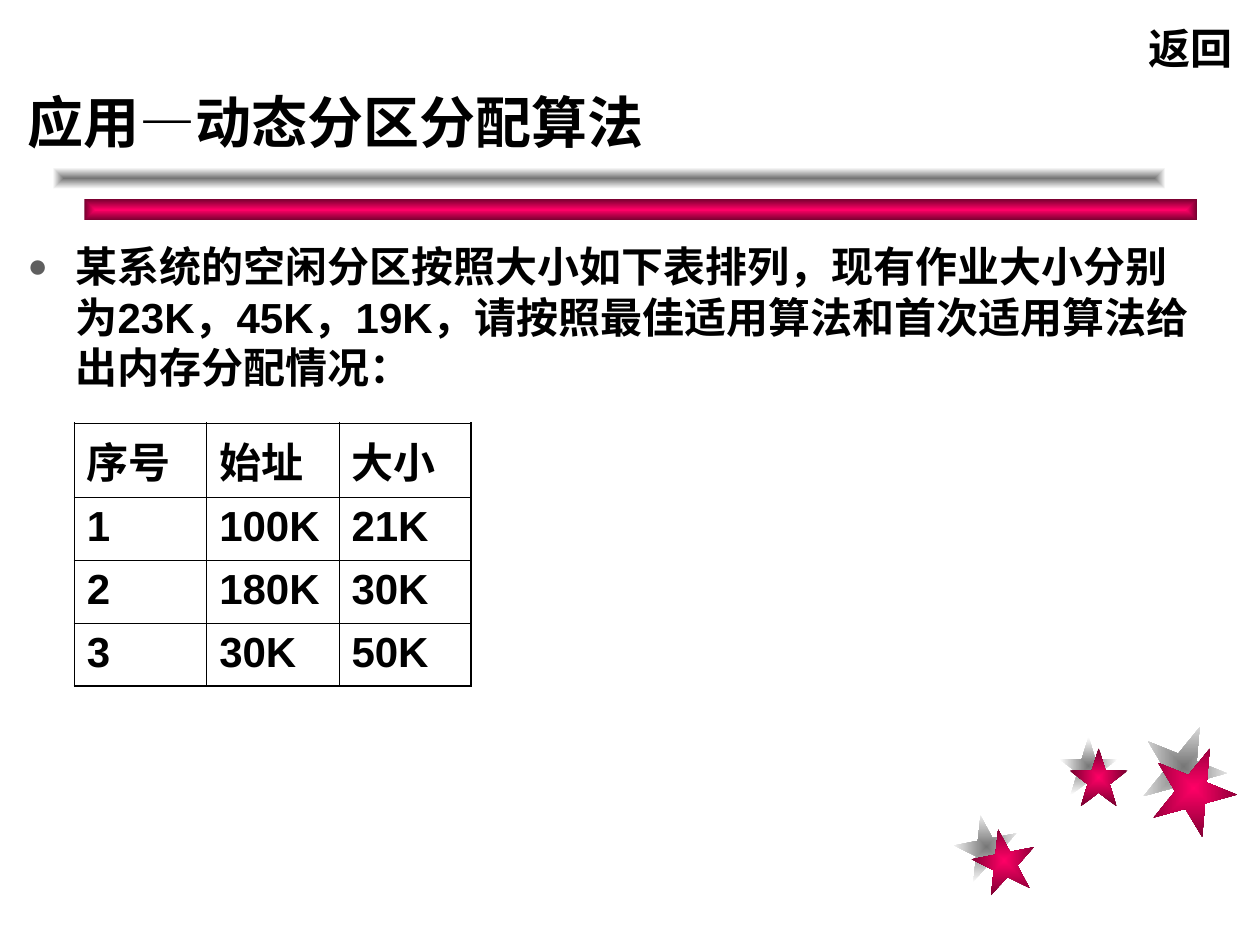
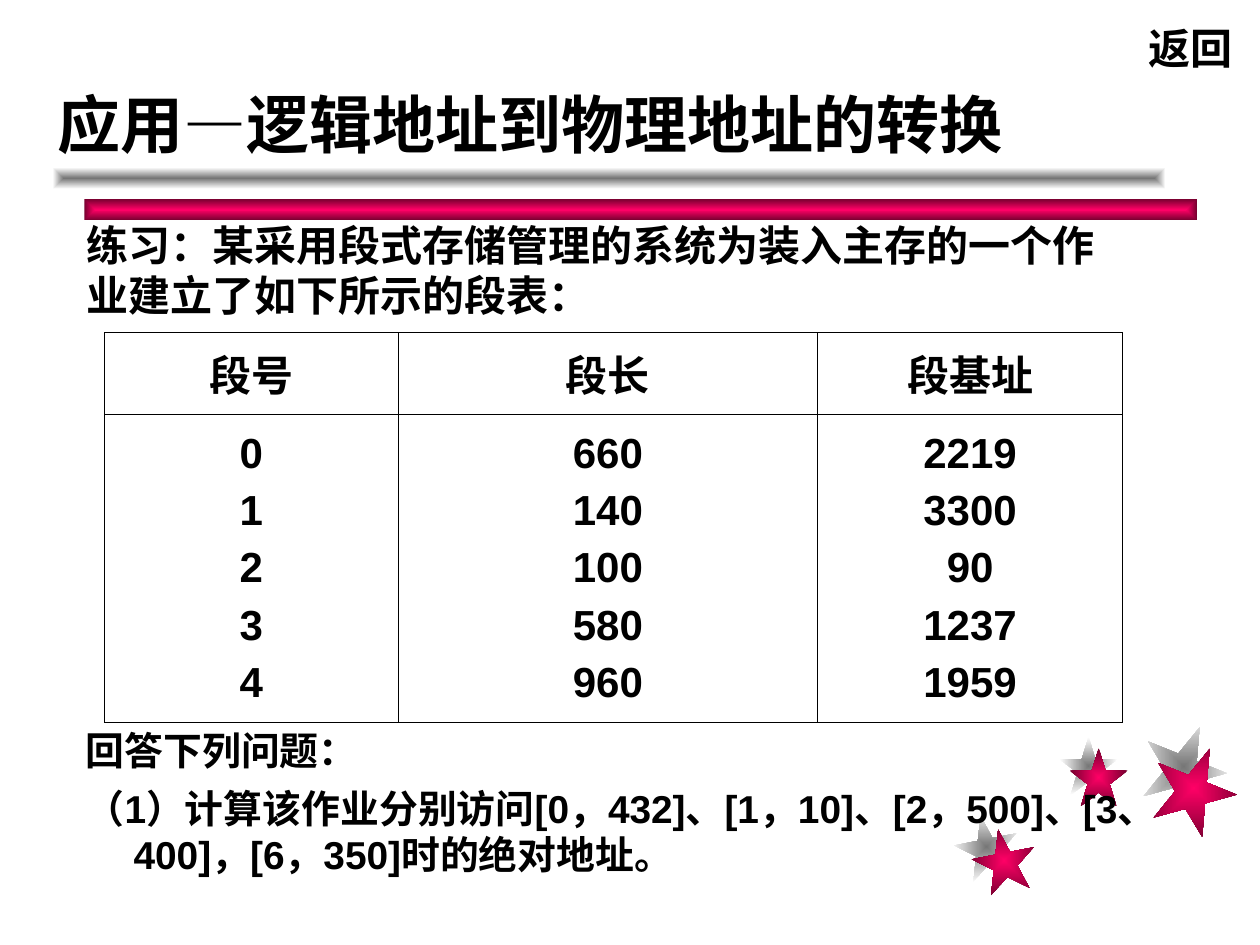
"""Build two slides on memory partitions and segment address translation."""
import pptx
import pptx.util
import pptx.dml.color
import pptx.enum.shapes
import pptx.enum.text
import pptx.oxml
import pptx.oxml.ns

HUES = {"ink": "000000", "dot": "5F5F5F", "grey": "767676",
        "white": "FFFFFF", "pink": "FF0066", "wine": "76002F"}
NS = pptx.oxml.ns.nsdecls("a")
KIND = pptx.enum.shapes.MSO_SHAPE
ALIGN = pptx.enum.text.PP_ALIGN
ANCHOR = pptx.enum.text.MSO_ANCHOR

deck = pptx.Presentation()
deck.slide_width = pptx.util.Inches(10)
deck.slide_height = pptx.util.Inches(7.5)
unit = deck.slide_width // 100


def write(frame, text, size=24, font="Arial", align=ALIGN.LEFT, anchor=ANCHOR.TOP,
          hang=0, bullet=False, wrap=True, space=None):
    """Fill a text frame, one paragraph a line."""
    frame.word_wrap = wrap
    frame.auto_size = pptx.enum.text.MSO_AUTO_SIZE.NONE
    frame.vertical_anchor = anchor
    for num, line in enumerate(text.split("\n")):
        para = frame.paragraphs[0] if num == 0 else frame.add_paragraph()
        para.alignment = align
        para.line_spacing = space
        para.space_before = pptx.util.Pt(6 if num else 0)
        props = para._p.get_or_add_pPr()
        props.set("marL", str(int(hang * unit)))
        props.set("indent", str(int(-hang * unit)))
        marks = ["<a:buNone %s/>"]
        if bullet:
            marks = [f'<a:buClr %s><a:srgbClr val="{HUES["dot"]}"/></a:buClr>',
                     '<a:buSzPct %s val="80000"/>', '<a:buChar %s char="●"/>']
        for mark in marks:
            props.append(pptx.oxml.parse_xml(mark % NS))
        run = para.add_run()
        run.text = line
        run.font.name = font
        run.font.size = pptx.util.Pt(size)
        run.font.bold = True
        run.font.color.rgb = pptx.dml.color.RGBColor.from_string(HUES["ink"])


def grid(slide, rows, left, top, wides, talls, rim, **form):
    """Add a ruled table whose outer border is rim points wide."""
    table = slide.shapes.add_table(
        len(rows), len(wides), int(left * unit), int(top * unit),
        int(sum(wides) * unit), int(sum(talls) * unit)).table
    table.first_row = table.horz_banding = False
    for col, wide in zip(table.columns, wides):
        col.width = int(wide * unit)
    for y, texts in enumerate(rows):
        table.rows[y].height = int(talls[y] * unit)
        for x, text in enumerate(texts):
            cell = table.cell(y, x)
            write(cell.text_frame, text, **form)
            cell.vertical_anchor = form.get("anchor", ANCHOR.TOP)
            props = cell._tc.get_or_add_tcPr()
            edges = {"lnL": x == 0, "lnR": x == len(wides) - 1,
                     "lnT": y == 0, "lnB": y == len(rows) - 1}
            for tag, outer in edges.items():
                thick = pptx.util.Pt(rim if outer else 0.45)
                props.append(pptx.oxml.parse_xml(
                    f'<a:{tag} {NS} w="{thick}"><a:solidFill><a:srgbClr '
                    f'val="{HUES["ink"]}"/></a:solidFill></a:{tag}>'))
            cell.fill.background()


layout = deck.slide_layouts[1]
slides = [deck.slides.add_slide(layout) for _ in range(2)]

GREY, PINK = ("grey", "white"), ("pink", "wine")
STAR, BAR = KIND.STAR_5_POINT, KIND.RECTANGLE
decor = [
    (STAR, GREY, 75.8, 64.7, 5, 5, -11),
    (STAR, GREY, 84.1, 58.5, 4.6, 4.6, 0),
    (STAR, GREY, 90.6, 57.5, 6.7, 6.7, 22),
    (STAR, PINK, 77.2, 65.8, 5, 5, -11),
    (STAR, PINK, 84.9, 59.4, 4.6, 4.6, 0),
    (STAR, PINK, 91.4, 59.2, 6.7, 6.7, 22),
    (BAR, PINK, 6.7, 15.8, 88.3, 1.7, 0),
    (BAR, GREY, 4.2, 13.3, 88.3, 1.7, 0),
]
for kind, hues, *box, turn in decor:
    shape = slides[0].shapes.add_shape(kind, *[int(v * unit) for v in box])
    shape.rotation = turn
    shape.shadow.inherit = False
    shape.line.fill.background()
    shape.fill.gradient()
    for stop, hue in zip(shape.fill.gradient_stops, hues):
        stop.color.rgb = pptx.dml.color.RGBColor.from_string(HUES[hue])
    lin = shape.element.find(".//" + pptx.oxml.ns.qn("a:lin"))
    lin.getparent().replace(lin, pptx.oxml.parse_xml(
        f'<a:path {NS} path="rect"><a:fillToRect l="50000" t="50000" '
        'r="50000" b="50000"/></a:path>'))
    layout.shapes.element.append(shape.element)

pages = [
    ("应用—动态分区分配算法", 32, (1.2, 5.2, 96.9, 7.6),
     "某系统的空闲分区按照大小如下表排列，现有作业大小分别为23K，45K，19K，"
     "请按照最佳适用算法和首次适用算法给出内存分配情况：", 24, (1.2, 18.6, 94.5, 13.4), True),
    ("应用—逻辑地址到物理地址的转换", 36, (3.6, 5, 85, 8.3),
     "回答下列问题：\n（1）计算该作业分别访问[0，432]、[1，10]、[2，500]、"
     "[3、400]，[6，350]时的绝对地址。", 22.2, (5.8, 57.2, 88.3, 13.6), False),
]
for slide, (head, big, spot, text, size, area, bullet) in zip(slides, pages):
    title, body = slide.shapes.title, slide.placeholders[1]
    for shape, box in ((title, spot), (body, area)):
        shape.left, shape.top, shape.width, shape.height = [int(v * unit) for v in box]
    write(title.text_frame, head, size=big, anchor=ANCHOR.BOTTOM)
    write(body.text_frame, text, size=size, hang=3.8, bullet=bullet)
    back = slide.shapes.add_textbox(*[int(v * unit) for v in (90.2, 1.3, 8.6, 5)])
    write(back.text_frame, "返回", font="Times New Roman", wrap=False)

first, second = slides
grid(first, [("序号", "始址", "大小"), ("1", "100K", "21K"),
             ("2", "180K", "30K"), ("3", "30K", "50K")],
     5.9, 33.6, [10.5] * 3, [5] * 4, 1.08)

task = second.shapes.add_textbox(*[int(v * unit) for v in (5.9, 16.2, 85, 9.7)])
write(task.text_frame, "练习：某采用段式存储管理的系统为装入主存的一个作业建立了如下所示的段表：",
      anchor=ANCHOR.BOTTOM)
grid(second, [("段号", "段长", "段基址"),
              ("0\n1\n2\n3\n4", "660\n140\n100\n580\n960", "2219\n3300\n90\n1237\n1959")],
     8.3, 26.4, [23.3, 33.3, 24.2], [6.5, 24.4], 0.45,
     align=ALIGN.CENTER, anchor=ANCHOR.MIDDLE)

deck.save("out.pptx")
